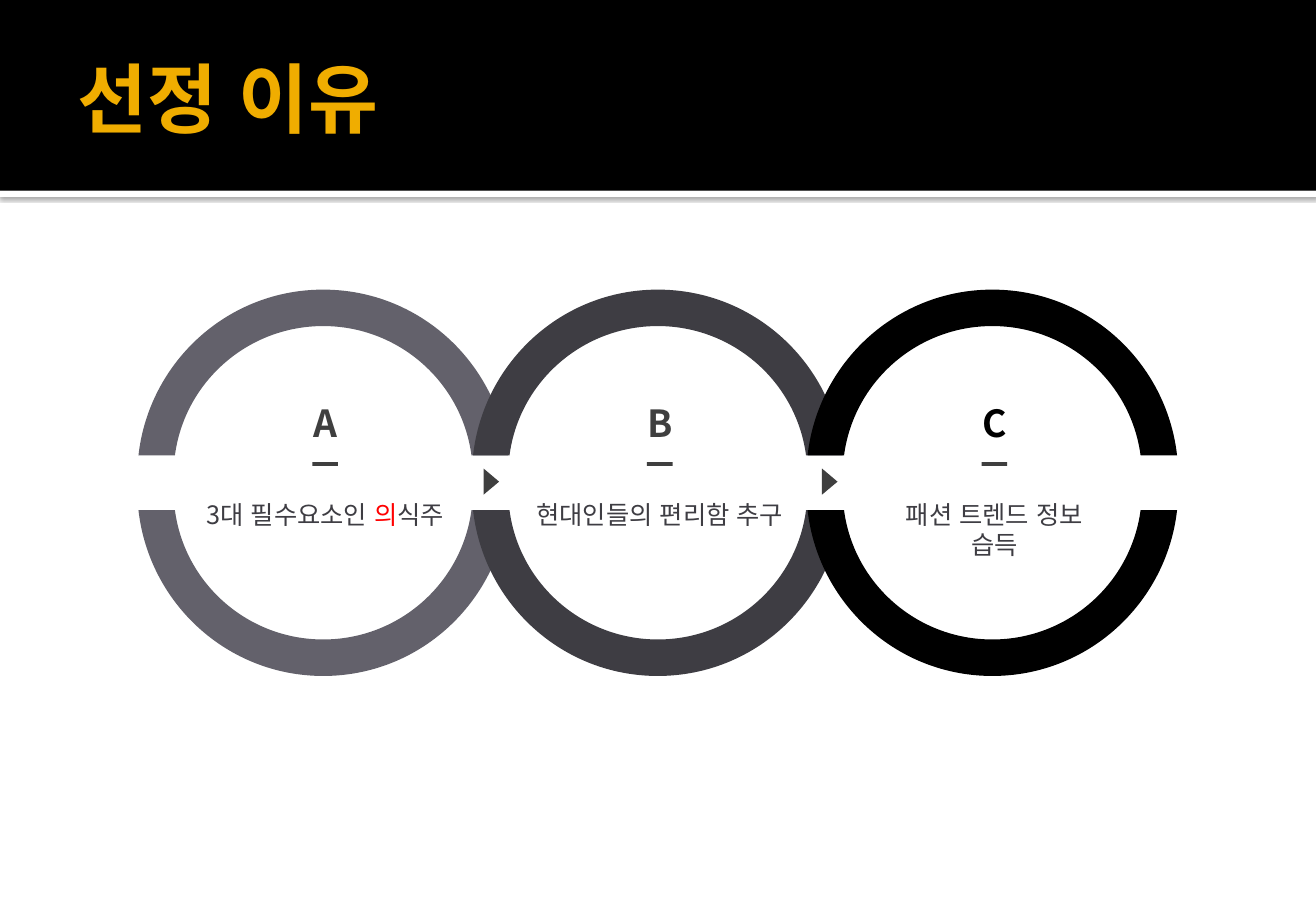
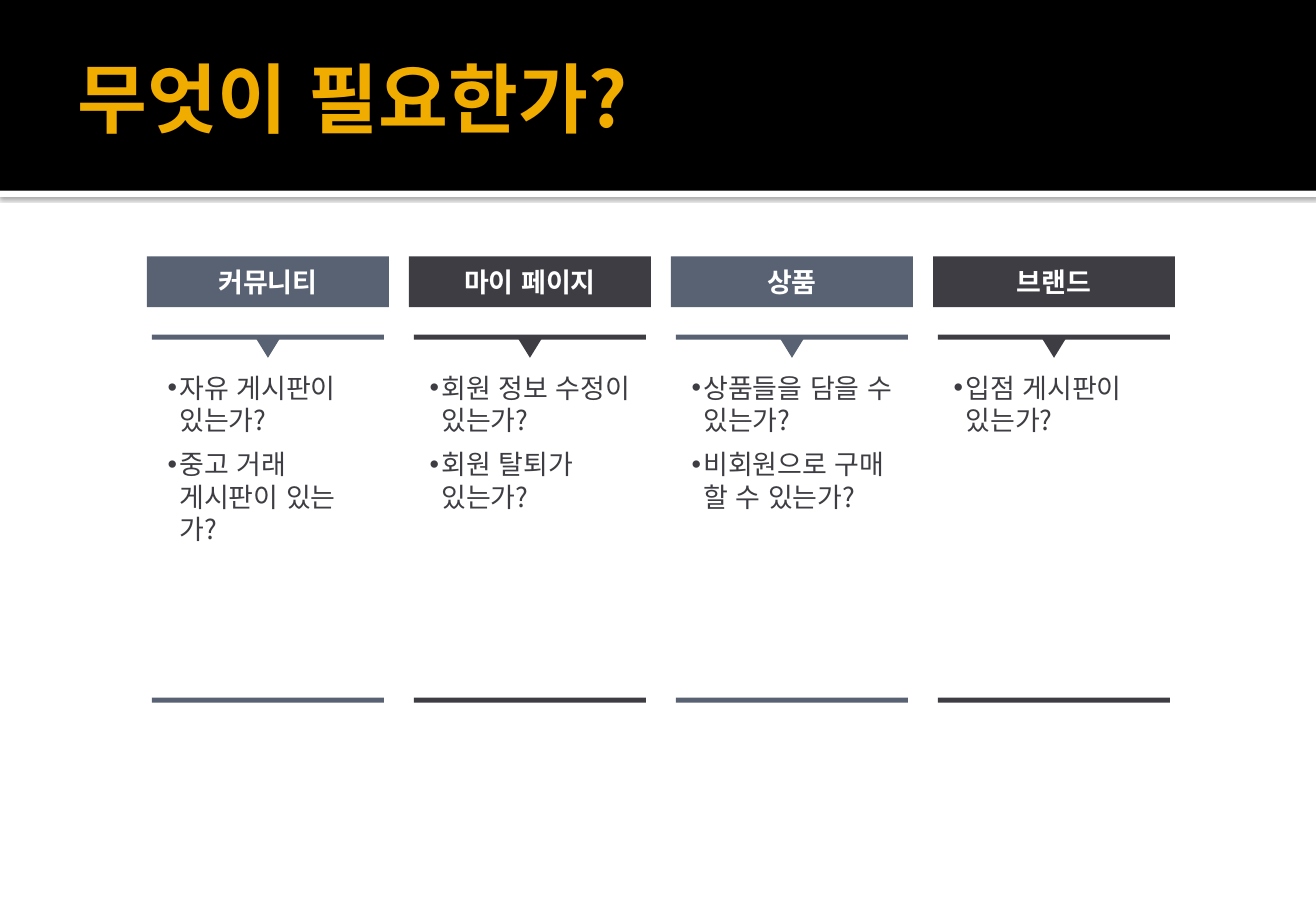
from dataclasses import dataclass

from lxml import etree
from pptx import Presentation
from pptx.dml.color import RGBColor
from pptx.enum.lang import MSO_LANGUAGE_ID
from pptx.enum.shapes import MSO_SHAPE
from pptx.enum.text import MSO_ANCHOR, PP_ALIGN
from pptx.oxml import parse_xml
from pptx.oxml.ns import qn
from pptx.util import Pt

RECT, OVAL, TRIANGLE = MSO_SHAPE.RECTANGLE, MSO_SHAPE.OVAL, MSO_SHAPE.ISOSCELES_TRIANGLE
LEFT, CENTER = PP_ALIGN.LEFT, PP_ALIGN.CENTER
TOP, MIDDLE = MSO_ANCHOR.TOP, MSO_ANCHOR.MIDDLE
KOREAN = MSO_LANGUAGE_ID.KOREAN


@dataclass(frozen=True)
class Theme:
    font: str = "Noto Sans CJK KR"
    white: str = "FFFFFF"
    black: str = "000000"
    gold: str = "F0AD00"
    red: str = "FF0000"
    mark: str = "3F3F3F"
    dark: str = "3E3D43"
    gray: str = "63616B"
    slate: str = "596273"
    title_size: float = 45
    letter_size: float = 22.1
    body_size: float = 16
    caption_size: float = 15


THEME = Theme()
SHADOW = (
    '<a:effectLst xmlns:a="http://schemas.openxmlformats.org/drawingml/2006/main">'
    '<a:outerShdw blurRad="31750" dist="10160" dir="5400000" algn="tl" rotWithShape="0">'
    '<a:srgbClr val="000000"><a:alpha val="40000"/></a:srgbClr>'
    "</a:outerShdw></a:effectLst>"
)


def paint(shape, color):
    shape.shadow.inherit = False
    shape.fill.solid()
    shape.fill.fore_color.rgb = RGBColor.from_string(color)
    shape.line.fill.background()
    return shape


def write(shape, *paragraphs, size, color=THEME.dark, bold=False, align=CENTER,
          anchor=TOP, line_spacing=None, space_before=0, bullet=None):
    """Fill a shape with paragraphs, each a string or a list of (text, color) runs."""
    frame = shape.text_frame
    frame.word_wrap = True
    frame.vertical_anchor = anchor
    for index, content in enumerate(paragraphs):
        paragraph = frame.add_paragraph() if index else frame.paragraphs[0]
        paragraph.alignment = align
        if line_spacing:
            paragraph.line_spacing = line_spacing
        if index and space_before:
            paragraph.space_before = Pt(space_before)
        props = paragraph._p.get_or_add_pPr()
        props.set("hangingPunct", "0")
        if bullet:
            props.set("marL", str(Pt(7.1)))
            props.set("indent", str(Pt(-8.5)))
            bullet_color = etree.SubElement(props, qn("a:buClr"))
            etree.SubElement(bullet_color, qn("a:srgbClr"), val=color)
            etree.SubElement(props, qn("a:buFont"), typeface="Arial")
            etree.SubElement(props, qn("a:buChar"), char=bullet)
        for text, run_color in [(content, color)] if isinstance(content, str) else content:
            run = paragraph.add_run()
            run.text = text
            run.font.size = Pt(size)
            run.font.bold = bold
            run.font.name = THEME.font
            run.font.language_id = KOREAN
            run.font.color.rgb = RGBColor.from_string(run_color)
            etree.SubElement(run._r.get_or_add_rPr(), qn("a:ea"), typeface=THEME.font)


prs = Presentation()
prs.slide_width, prs.slide_height = Pt(780), Pt(540)
title_only = prs.slide_layouts[5]
reasons = prs.slides.add_slide(title_only)
needs = prs.slides.add_slide(title_only)

# Title band, kept on the layout so both slides share it
strip = paint(reasons.shapes.add_shape(RECT, 0, Pt(113), prs.slide_width, Pt(3.7)), THEME.white)
strip._element.spPr.remove(strip._element.spPr.find(qn("a:effectLst")))
strip._element.spPr.append(parse_xml(SHADOW))
band = paint(reasons.shapes.add_shape(RECT, 0, 0, prs.slide_width, Pt(113)), THEME.black)
for position, part in enumerate((strip, band), start=2):
    title_only.shapes._spTree.insert(position, part._element)

for slide, heading in ((reasons, "선정 이유"), (needs, "무엇이 필요한가?")):
    title = slide.shapes.title
    title.left, title.top, title.width, title.height = Pt(39), Pt(11.7), Pt(702), Pt(98.6)
    write(title, heading, size=THEME.title_size, color=THEME.gold, bold=True,
          align=LEFT, anchor=MIDDLE, line_spacing=0.9)

# Slide 1: three split rings, linked by arrows
RING_X, RING_Y, RING_PITCH = 191.6, 286.2, 198.3
LABEL_SHIFT, DISC = 1.2, 157.6
# Quarter ring from inner apex to outer apex, then its mirror image; C is a curve, L a line
QUARTER = [(0, 92.9), (44.6, 92.9), (82.1, 59.9), (87.9, 16.2),
           (109.5, 16.2), (103.3, 71.3), (56.9, 114.5), (0, 114.5)]
HALF_RING = QUARTER + [(-x, y) for x, y in QUARTER[-2::-1]]
HALF_RING_STEPS = "CLCCLC"

for number in range(2):
    x = 286.6 + number * 200.6
    arrow = reasons.shapes.build_freeform(Pt(x), Pt(277.7))
    arrow.add_line_segments([(Pt(x + 9.2), Pt(285.5)), (Pt(x), Pt(293.2))])
    paint(arrow.convert_to_shape(), THEME.mark)

rings = [
    ("A", THEME.gray, THEME.mark, 170,
     [("3대 필수요소인 ", THEME.dark), ("의", THEME.red), ("식주", THEME.dark)]),
    ("B", THEME.dark, THEME.mark, 176.4, "현대인들의 편리함 추구"),
    ("C", THEME.black, THEME.black, 146.2, "패션 트렌드 정보 습득"),
]
for number, (letter, ring_color, letter_color, caption_width, caption) in enumerate(rings):
    ring_x = RING_X + number * RING_PITCH
    for side in (1, -1):
        outline = [(Pt(ring_x + x), Pt(RING_Y + side * y)) for x, y in HALF_RING]
        builder = reasons.shapes.build_freeform(*outline[0])
        builder.add_line_segments(outline[1:])
        half_ring = paint(builder.convert_to_shape(), ring_color)
        segments = iter(list(half_ring._element.iter(qn("a:lnTo"))))
        for step in HALF_RING_STEPS:
            segment = next(segments)
            if step == "C":
                segment.tag = qn("a:cubicBezTo")
                for _ in range(2):
                    merged = next(segments)
                    segment.append(merged[0])
                    merged.getparent().remove(merged)

    label_x = ring_x + LABEL_SHIFT
    paint(reasons.shapes.add_shape(OVAL, Pt(label_x - DISC / 2), Pt(208.8), Pt(DISC), Pt(DISC)),
          THEME.white)
    paint(reasons.shapes.add_shape(RECT, Pt(label_x - 7.6), Pt(274), Pt(15.2), Pt(2.2)), THEME.mark)
    for text, top, width, height, style in (
        (caption, 292.3, caption_width, 25.4, dict(size=THEME.caption_size)),
        (letter, 233.6, 30, 34, dict(size=THEME.letter_size, color=letter_color, bold=True)),
    ):
        label = reasons.shapes.add_textbox(Pt(label_x - width / 2), Pt(top), Pt(width), Pt(height))
        write(label, text, **style)

# Slide 2: four columns of questions
COLUMN_X, COLUMN_PITCH = 87.1, 155.3
HEADER_WIDTH, RULE_WIDTH, POINTER_WIDTH, LIST_WIDTH = 143.4, 137.5, 15.8, 133.2

columns = [
    ("커뮤니티", THEME.slate, ["자유 게시판이 있는가?", "중고 거래 게시판이 있는가?"]),
    ("마이 페이지", THEME.dark, ["회원 정보 수정이 있는가?", "회원 탈퇴가 있는가?"]),
    ("상품", THEME.slate, ["상품들을 담을 수 있는가?", "비회원으로 구매 할 수 있는가?"]),
    ("브랜드", THEME.dark, ["입점 게시판이 있는가?"]),
]
for number, (topic, column_color, questions) in enumerate(columns):
    center = COLUMN_X + HEADER_WIDTH / 2 + number * COLUMN_PITCH
    _, header, _, pointer = [
        paint(needs.shapes.add_shape(kind, Pt(center - width / 2), Pt(top), Pt(width), Pt(height)),
              column_color)
        for kind, top, width, height in (
            (RECT, 413.5, RULE_WIDTH, 3),
            (RECT, 151.9, HEADER_WIDTH, 30.2),
            (RECT, 198.3, RULE_WIDTH, 3),
            (TRIANGLE, 199.3, POINTER_WIDTH, 12.8),
        )
    ]
    pointer.rotation = 180
    write(header, topic, size=THEME.body_size, color=THEME.white, bold=True, anchor=MIDDLE)
    question_list = needs.shapes.add_textbox(
        Pt(center - LIST_WIDTH / 2), Pt(216.7), Pt(LIST_WIDTH), Pt(214.6))
    write(question_list, *questions, size=THEME.body_size, align=LEFT, space_before=6.8, bullet="•")

prs.save("out.pptx")
